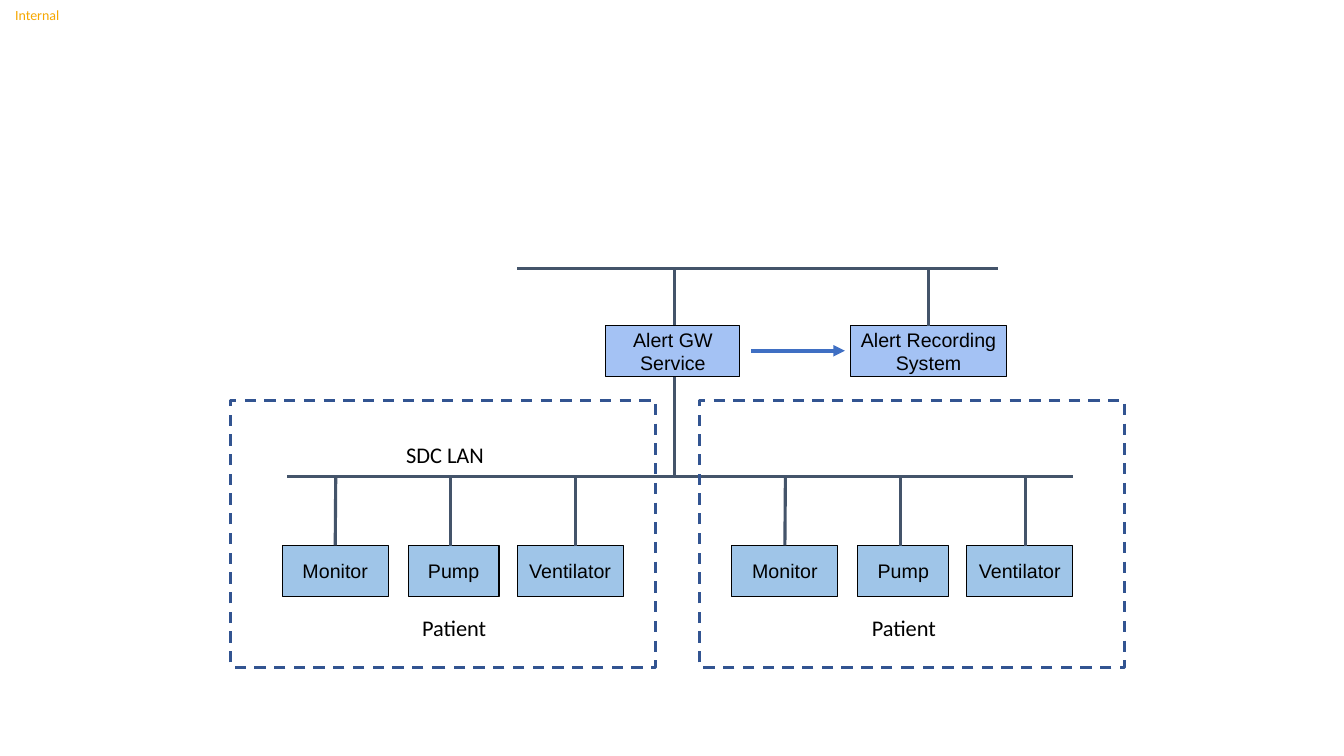
"""Draws the alert gateway network that links two patients' devices to a recording system."""
from dataclasses import dataclass

from lxml import etree
from pptx import Presentation
from pptx import util as u
from pptx.dml.color import RGBColor
from pptx.enum import dml, shapes, text
from pptx.oxml import ns

INK = "000000"
WIRE = "44546A"
DEVICE_FILL = "9FC5E8"
SERVICE_FILL = "A4C2F4"
PATIENT_SHIFT = 4.46
PANEL_SHIFT = 4.65
DEVICE_TOP = 5.41
DEVICE_BUS = 4.73
SERVICE_TOP = 3.23
SERVICE_BUS = 2.66
BOX_HEIGHT = 0.51


@dataclass(frozen=True)
class Device:
    name: str
    left: float
    width: float
    wire_x: float
    joined: bool = False


@dataclass(frozen=True)
class Label:
    words: str
    left: float
    top: float
    width: float
    height: float
    size: int = 16
    colour: str = INK
    align: text.PP_ALIGN = text.PP_ALIGN.CENTER


DEVICES = (
    Device("Monitor", 2.8, 1.05, 3.33, joined=True),
    Device("Pump", 4.05, 0.9, 4.47),
    Device("Ventilator", 5.13, 1.05, 5.71),
)


def rgb(value: str) -> RGBColor:
    return RGBColor.from_string(value)


def write(frame, words: str, font: str, size: int, colour: str, align: text.PP_ALIGN) -> None:
    frame.word_wrap = True
    para = frame.paragraphs[0]
    para.alignment = align
    span = para.add_run()
    span.text = words
    span.font.name = font
    span.font.size = u.Pt(size)
    span.font.color.rgb = rgb(colour)


def add_label(page, label: Label):
    box = page.shapes.add_textbox(u.Inches(label.left), u.Inches(label.top),
                                  u.Inches(label.width), u.Inches(label.height))
    write(box.text_frame, label.words, "Calibri", label.size, label.colour, label.align)
    return box


def add_rectangle(page, left: float, top: float, width: float, height: float):
    box = page.shapes.add_shape(shapes.MSO_SHAPE.RECTANGLE, u.Inches(left), u.Inches(top),
                                u.Inches(width), u.Inches(height))
    box.shadow.inherit = False
    return box


def add_node(page, words: str, left: float, top: float, width: float, fill: str):
    box = add_rectangle(page, left, top, width, BOX_HEIGHT)
    box.fill.solid()
    box.fill.fore_color.rgb = rgb(fill)
    box.line.color.rgb = rgb(INK)
    box.line.width = u.Pt(0.75)
    frame = box.text_frame
    frame.vertical_anchor = text.MSO_ANCHOR.MIDDLE
    frame.margin_left = frame.margin_right = u.Inches(0.08)
    frame.margin_top = frame.margin_bottom = u.Inches(0.1)
    write(frame, words, "Arial", 14, INK, text.PP_ALIGN.CENTER)
    return box


def add_panel(page, left: float) -> None:
    panel = add_rectangle(page, left, 3.97, 4.21, 2.65)
    panel.fill.background()
    panel.line.color.rgb = rgb("325491")
    panel.line.width = u.Pt(2)
    panel.line.dash_style = dml.MSO_LINE.DASH


def add_wire(page, x1: float, y1: float, x2: float, y2: float,
             colour: str = WIRE, weight: float = 2.25):
    wire = page.shapes.add_connector(shapes.MSO_CONNECTOR.STRAIGHT, u.Inches(x1), u.Inches(y1),
                                     u.Inches(x2), u.Inches(y2))
    wire.line.color.rgb = rgb(colour)
    wire.line.width = u.Pt(weight)
    etree.SubElement(wire._element.spPr, ns.qn("a:effectLst"))
    return wire


def add_patient(page, shift: float) -> None:
    add_label(page, Label("Patient", 3.64 + shift, 6.04, 1.73, 0.37))
    for device in DEVICES:
        box = add_node(page, device.name, device.left + shift, DEVICE_TOP,
                       device.width, DEVICE_FILL)
        wire_x = device.wire_x + shift
        wire = add_wire(page, wire_x, DEVICE_TOP + 0.01, wire_x, DEVICE_BUS - 0.01)
        if device.joined:
            wire.begin_connect(box, 0)


def main() -> None:
    deck = Presentation()
    deck.slide_width = u.Inches(13.33)
    deck.slide_height = u.Inches(7.5)
    page = deck.slides.add_slide(deck.slide_layouts[6])

    marking = add_label(page, Label("Internal", 0, 0, 0.74, 0.29, 10, "F6A800",
                                    text.PP_ALIGN.LEFT)).text_frame
    marking.vertical_anchor = text.MSO_ANCHOR.MIDDLE
    marking.margin_left = u.Inches(0.15)
    marking.margin_right = marking.margin_top = marking.margin_bottom = 0

    add_wire(page, 2.85, DEVICE_BUS, 10.64, DEVICE_BUS)
    for index in range(2):
        add_patient(page, index * PATIENT_SHIFT)
    add_label(page, Label("SDC LAN", 3.93, 4.33, 2.29, 0.37, align=text.PP_ALIGN.LEFT))
    add_wire(page, 6.69, DEVICE_BUS + 0.01, 6.69, SERVICE_BUS)
    for index in range(2):
        add_panel(page, 2.29 + index * PANEL_SHIFT)

    add_node(page, "Alert GW Service", 6.01, SERVICE_TOP, 1.33, SERVICE_FILL)
    recorder = add_node(page, "Alert Recording System", 8.44, SERVICE_TOP, 1.54, SERVICE_FILL)
    add_wire(page, 9.21, SERVICE_TOP, 9.21, SERVICE_BUS).begin_connect(recorder, 0)
    add_wire(page, 5.13, SERVICE_BUS, 9.9, SERVICE_BUS)
    arrow = add_wire(page, 7.45, 3.48, 8.38, 3.48, "3F6FC3", 2.75)
    etree.SubElement(arrow.line._get_or_add_ln(), ns.qn("a:tailEnd"), type="triangle")

    deck.save("out.pptx")


if __name__ == "__main__":
    main()
